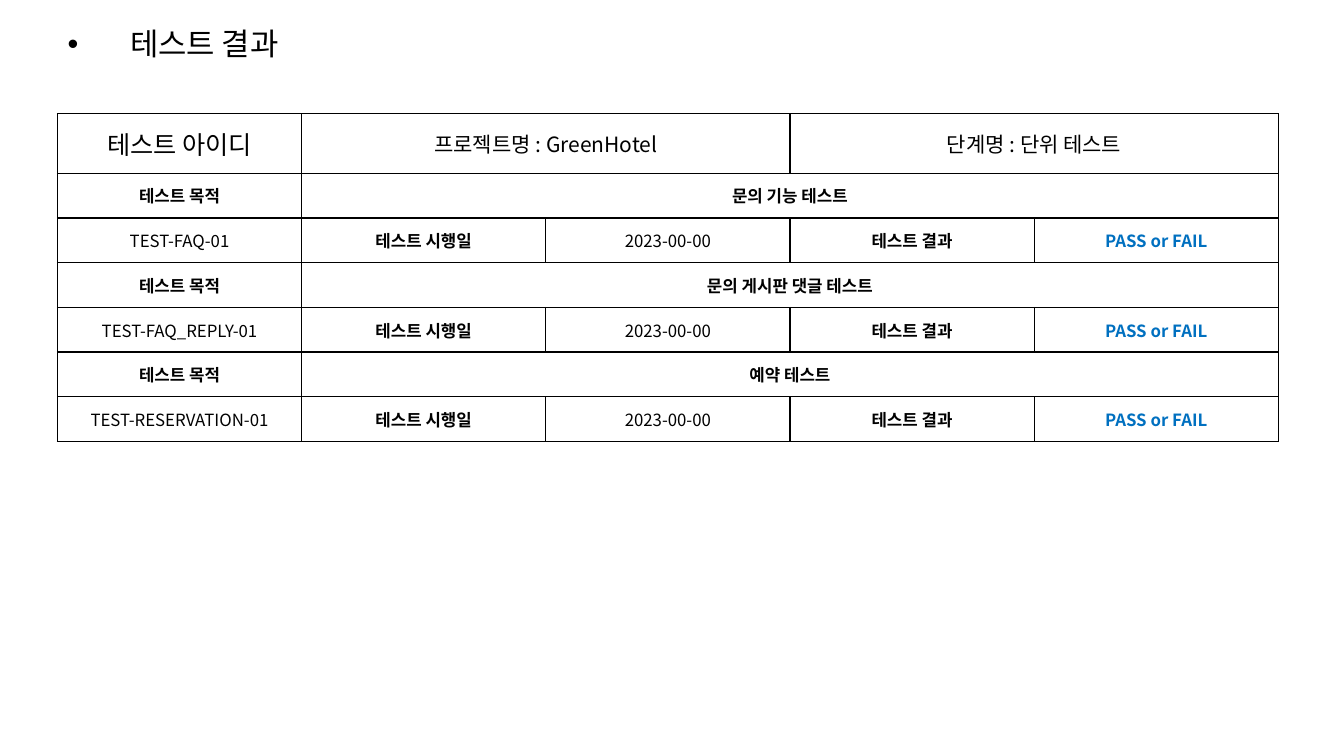
from dataclasses import dataclass

from pptx import Presentation
from pptx.dml.color import RGBColor
from pptx.enum.text import MSO_ANCHOR as Anchor, MSO_AUTO_SIZE as AutoSize, PP_ALIGN as Align
from pptx.oxml.ns import qn
from pptx.util import Inches, Pt
from lxml.etree import SubElement


@dataclass(frozen=True)
class Theme:
    font: str = "Noto Sans CJK KR"
    black: str = "000000"
    white: str = "FFFFFF"
    blue: str = "0070C0"
    title: int = 22
    test_id: int = 18
    heading: int = 15
    body: int = 12
    border: int = 1


THEME = Theme()

TESTS = [
    ("문의 기능 테스트", "TEST-FAQ-01"),
    ("문의 게시판 댓글 테스트", "TEST-FAQ_REPLY-01"),
    ("예약 테스트", "TEST-RESERVATION-01"),
]


def write_text(frame, text, size=THEME.body, bold=False, color=THEME.black, align=Align.CENTER):
    paragraph = frame.paragraphs[0]
    paragraph.alignment = align
    run = paragraph.add_run()
    run.text = text
    font = run.font
    font.name = THEME.font
    font.size = Pt(size)
    font.bold = bold
    font.color.rgb = RGBColor.from_string(color)
    SubElement(font._element, qn("a:ea"), typeface=THEME.font)
    return paragraph


def add_bullet(paragraph, indent):
    properties = paragraph._p.get_or_add_pPr()
    properties.set("marL", str(indent))
    properties.set("indent", str(-indent))
    SubElement(properties, qn("a:buFont"), typeface="Arial")
    SubElement(properties, qn("a:buChar"), char="•")


def build_title(slide, left, top, width, height):
    title = slide.shapes.title
    title.left, title.top = Inches(left), Inches(top)
    title.width, title.height = Inches(width), Inches(height)
    frame = title.text_frame
    frame.word_wrap = True
    frame.auto_size = AutoSize.NONE
    frame.vertical_anchor = Anchor.MIDDLE
    paragraph = write_text(frame, "테스트 결과", size=THEME.title, align=Align.LEFT)
    add_bullet(paragraph, Inches(0.62))
    paragraph.line_spacing = 0.9


def style_cell(cell):
    properties = cell._tc.get_or_add_tcPr()
    for side in ("lnL", "lnR", "lnT", "lnB"):
        line = SubElement(properties, qn(f"a:{side}"), w=str(Pt(THEME.border)))
        fill = SubElement(line, qn("a:solidFill"))
        SubElement(fill, qn("a:srgbClr"), val=THEME.black)
    cell.fill.solid()
    cell.fill.fore_color.rgb = RGBColor.from_string(THEME.white)
    cell.vertical_anchor = Anchor.MIDDLE


def fill_cell(table, row, column, text, span=1, **text_format):
    cell = table.cell(row, column)
    if span > 1:
        cell.merge(table.cell(row, column + span - 1))
    write_text(cell.text_frame, text, **text_format)


def build_results(slide, left, top, width, height, header_height=0.59, column_count=5):
    row_count = 1 + 2 * len(TESTS)
    table = slide.shapes.add_table(
        row_count, column_count, Inches(left), Inches(top), Inches(width), Inches(height)
    ).table
    table.first_row = table.horz_banding = False
    for column in table.columns:
        column.width = Inches(width / column_count)
    for row in table.rows:
        row.height = Inches((height - header_height) / (row_count - 1))
    table.rows[0].height = Inches(header_height)
    for cell in table.iter_cells():
        style_cell(cell)

    fill_cell(table, 0, 0, "테스트 아이디", size=THEME.test_id)
    fill_cell(table, 0, 1, "프로젝트명 : GreenHotel", span=2, size=THEME.heading)
    fill_cell(table, 0, 3, "단계명 : 단위 테스트", span=2, size=THEME.heading)

    for index, (purpose, test_id) in enumerate(TESTS):
        purpose_row = 1 + 2 * index
        result_row = purpose_row + 1
        fill_cell(table, purpose_row, 0, "테스트 목적", bold=True)
        fill_cell(table, purpose_row, 1, purpose, span=4, bold=True)
        fill_cell(table, result_row, 0, test_id)
        fill_cell(table, result_row, 1, "테스트 시행일", bold=True)
        fill_cell(table, result_row, 2, "2023-00-00")
        fill_cell(table, result_row, 3, "테스트 결과", bold=True)
        fill_cell(table, result_row, 4, "PASS or FAIL", bold=True, color=THEME.blue)


def main():
    presentation = Presentation()
    presentation.slide_width = Inches(13.33)
    presentation.slide_height = Inches(7.5)
    title_only = presentation.slide_layouts.get_by_name("Title Only")
    slide = presentation.slides.add_slide(title_only)
    build_title(slide, 0.57, 0, 11.81, 0.91)
    build_results(slide, 0.57, 1.13, 12.11, 3.25)
    presentation.save("out.pptx")


if __name__ == "__main__":
    main()
